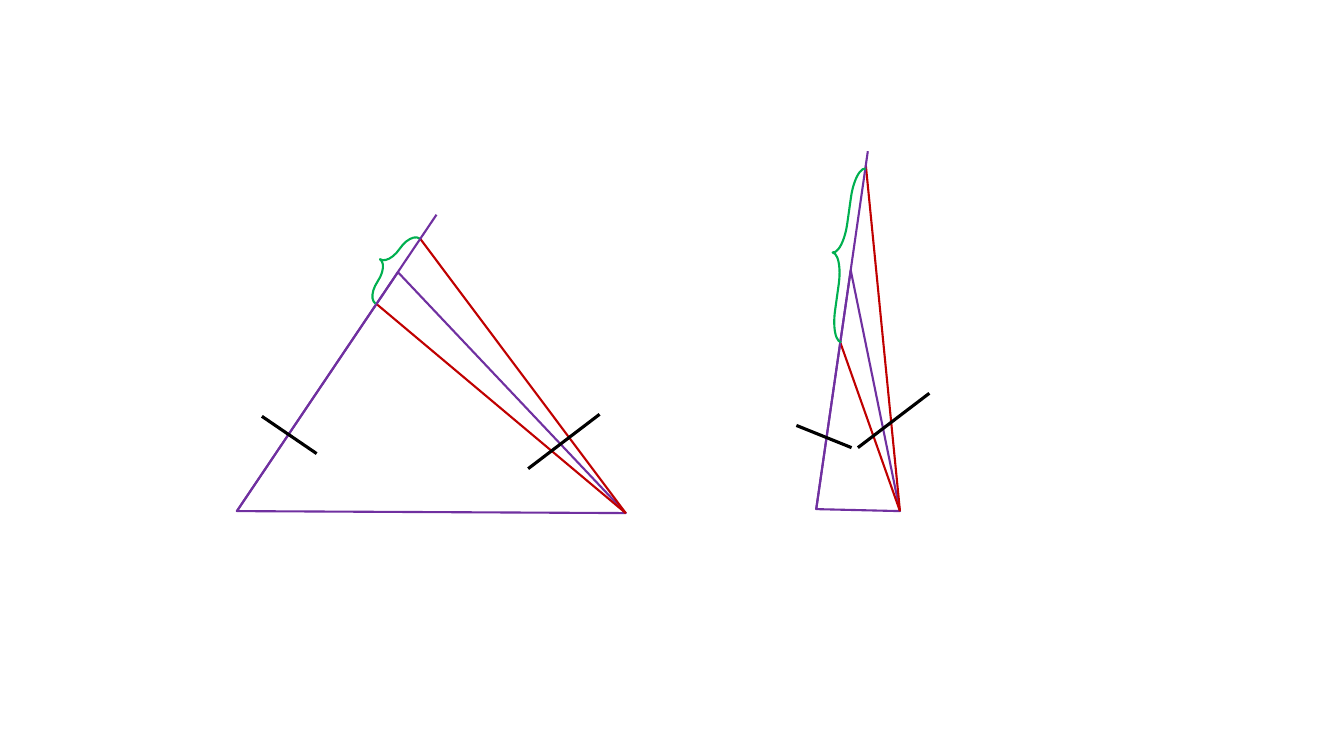
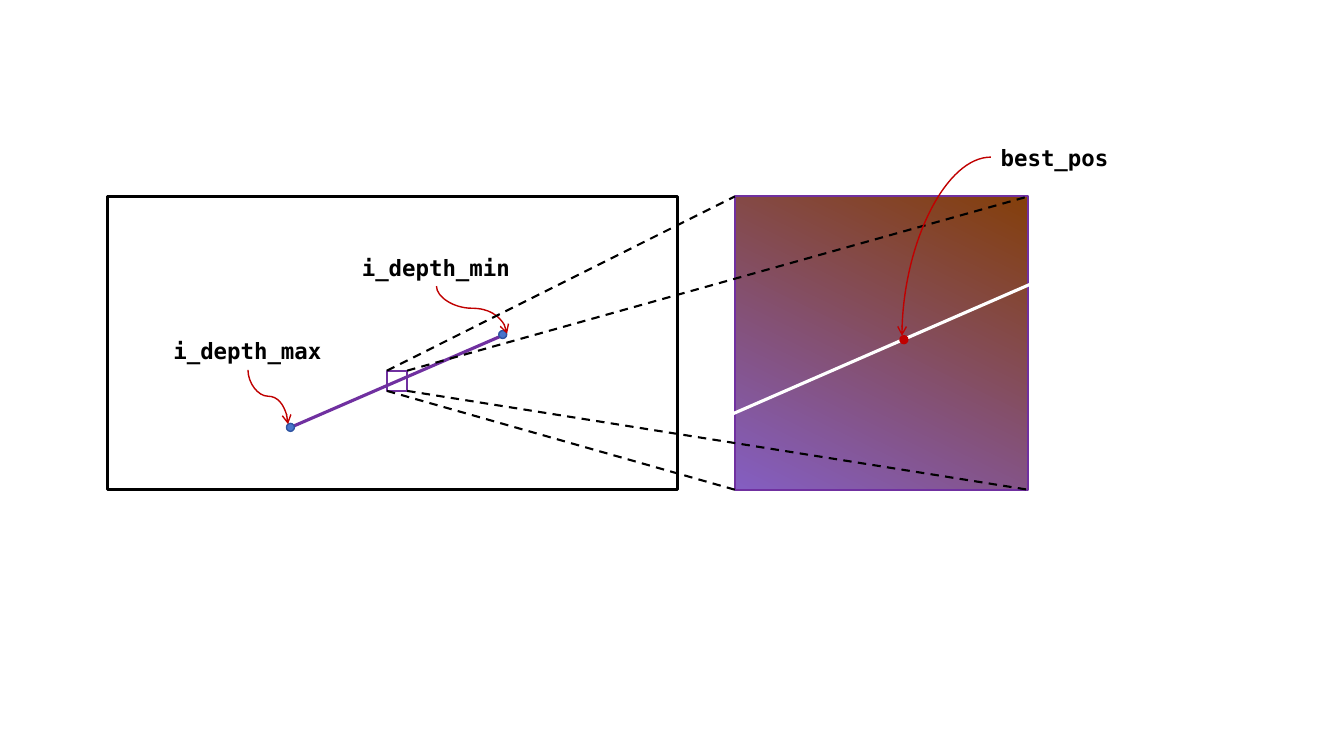
from lxml import etree
from pptx import Presentation
from pptx.dml.color import RGBColor
from pptx.enum.dml import MSO_LINE
from pptx.enum.shapes import MSO_CONNECTOR, MSO_SHAPE
from pptx.enum.text import MSO_AUTO_SIZE, PP_ALIGN
from pptx.oxml.ns import qn
from pptx.util import Cm, Pt

STRAIGHT, CURVE = MSO_CONNECTOR.STRAIGHT, MSO_CONNECTOR.CURVE
RECTANGLE, ELLIPSE, LEFT_BRACE = MSO_SHAPE.RECTANGLE, MSO_SHAPE.OVAL, MSO_SHAPE.LEFT_BRACE
DASH = MSO_LINE.DASH
LEFT, CENTER = PP_ALIGN.LEFT, PP_ALIGN.CENTER
FIT_SHAPE = MSO_AUTO_SIZE.SHAPE_TO_FIT_TEXT

BLACK = RGBColor(0x00, 0x00, 0x00)
WHITE = RGBColor(0xFF, 0xFF, 0xFF)
PURPLE = RGBColor(0x70, 0x30, 0xA0)
RED = RGBColor(0xC0, 0x00, 0x00)
GREEN = RGBColor(0x00, 0xB0, 0x50)
BLUE = RGBColor(0x48, 0x74, 0xCB)
DARK_BLUE = RGBColor(0x2E, 0x54, 0xA1)
BROWN = RGBColor(0x84, 0x3F, 0x0B)
VIOLET = RGBColor(0x84, 0x5E, 0xC2)

FONT = "DejaVu Sans Mono"
THIN, NORMAL, THICK = 1, 1.5, 2.25
DOT_SIZE = 0.2


class Diagram:
    """Holds the style, the current slide and the current group; lengths are in cm."""

    def __init__(self):
        self.presentation = Presentation()
        self.presentation.slide_width = Cm(33.87)
        self.presentation.slide_height = Cm(19.05)

    def new_slide(self):
        layout = self.presentation.slide_layouts[6]
        self.slide = self.presentation.slides.add_slide(layout)

    def new_group(self):
        self.shapes = self.slide.shapes.add_group_shape().shapes

    def outline(self, shape, color, width):
        shape.shadow.inherit = False
        shape.fill.background()
        shape.line.color.rgb = color
        shape.line.width = Pt(width)

    def shape(self, kind, left, top, width, height, color, weight=NORMAL):
        shape = self.shapes.add_shape(kind, Cm(left), Cm(top), Cm(width), Cm(height))
        self.outline(shape, color, weight)
        return shape

    def dot(self, x, y, fill, color):
        half = DOT_SIZE / 2
        dot = self.shape(ELLIPSE, x - half, y - half, DOT_SIZE, DOT_SIZE, color, THIN)
        dot.fill.solid()
        dot.fill.fore_color.rgb = fill

    def triangle(self, *corners):
        first, *others = [(Cm(x), Cm(y)) for x, y in corners]
        builder = self.shapes.build_freeform(*first, scale=1.0)
        builder.add_line_segments(others, close=True)
        self.outline(builder.convert_to_shape(), PURPLE, NORMAL)

    def brace(self, left, top, length, angle):
        brace = self.shape(LEFT_BRACE, left, top, 0.53, length, GREEN)
        brace.adjustments[0] = 1.466
        brace.rotation = angle

    def line(self, start, end, color, width=NORMAL, dash=None, kind=STRAIGHT):
        connector = self.shapes.add_connector(kind, *[Cm(value) for value in (*start, *end)])
        connector.line.color.rgb = color
        connector.line.width = Pt(width)
        if dash:
            connector.line.dash_style = dash
        etree.SubElement(connector.element.spPr, qn("a:effectLst"))
        return connector

    def curved_arrow(self, start, end, bend=None):
        """An S-curve leaving downwards, or without a bend a quarter arc to the lower left."""
        (x1, y1), (x2, y2) = start, end
        if bend:
            # The frame before its quarter turn: width and height change places
            middle_x, middle_y = (x1 + x2) / 2, (y1 + y2) / 2
            half_width, half_height = (y2 - y1) / 2, (x2 - x1) / 2
            start = (middle_x - half_width, middle_y + half_height)
            end = (middle_x + half_width, middle_y - half_height)
            preset, degrees = "curvedConnector3", 90
        else:
            start, end = (x2, y2), (x1, y1)
            preset, degrees = "curvedConnector2", 180
        connector = self.line(start, end, RED, THIN, kind=CURVE)
        properties = connector.element.spPr
        properties.find(qn("a:xfrm")).set("rot", str(degrees * 60000))
        geometry = properties.find(qn("a:prstGeom"))
        geometry.set("prst", preset)
        if bend:
            guide = etree.SubElement(geometry.find(qn("a:avLst")), qn("a:gd"))
            guide.set("name", "adj1")
            guide.set("fmla", f"val {round(bend * 100000)}")
        etree.SubElement(properties.find(qn("a:ln")), qn("a:tailEnd")).set("type", "arrow")

    def label(self, text, left, top, width, alignment=CENTER):
        box = self.shapes.add_textbox(Cm(left), Cm(top), Cm(width), Cm(0.94))
        frame = box.text_frame
        frame.word_wrap = True
        frame.auto_size = FIT_SHAPE
        paragraph = frame.paragraphs[0]
        paragraph.alignment = alignment
        run = paragraph.add_run()
        run.text = text
        run.font.name = FONT
        run.font.size = Pt(16)
        run.font.bold = True
        run.font.color.rgb = BLACK

    def depth_view(self, apex, left, right, near, far, ray_end, image_planes, brace):
        """Two cameras, their rays and the depth range between near and far."""
        self.new_group()
        self.triangle(apex, left, right)
        for limit in (near, far):
            self.line(right, limit, RED)
        self.line(ray_end, left, PURPLE)
        for start, end in image_planes:
            self.line(start, end, BLACK, THICK)
        self.brace(*brace)


def baseline_slide(diagram):
    diagram.new_slide()
    # Wide baseline
    diagram.depth_view(
        apex=(10.03, 6.86), left=(5.97, 12.88), right=(15.77, 12.93),
        near=(9.5, 7.67), far=(10.57, 5.99), ray_end=(11, 5.41),
        image_planes=[((6.6, 10.49), (7.98, 11.43)), ((13.31, 11.81), (15.11, 10.44))],
        brace=(9.53, 5.69, 1.98, 34))
    # Narrow baseline
    diagram.depth_view(
        apex=(21.44, 6.81), left=(20.57, 12.83), right=(22.68, 12.88),
        near=(21.18, 8.64), far=(21.82, 4.17), ray_end=(21.87, 3.81),
        image_planes=[((20.07, 10.72), (21.46, 11.28)), ((21.62, 11.28), (23.42, 9.91))],
        brace=(20.98, 4.19, 4.42, 8))


def search_slide(diagram):
    diagram.new_slide()
    diagram.new_group()
    top, side = 4.95, 7.39
    patch_left, patch_top, patch_side = 9.75, 9.34, 0.51
    zoom_left = 18.52

    # Image with the search line
    diagram.shape(RECTANGLE, 2.72, top, 14.35, side, BLACK, THICK)
    diagram.line((7.39, 10.74), (12.6, 8.48), PURPLE, THICK)
    for x, y in ((12.67, 8.43), (7.32, 10.77)):
        diagram.dot(x, y, BLUE, DARK_BLUE)
    diagram.curved_arrow((11, 7.21), (12.78, 8.41), 0.465)
    diagram.curved_arrow((6.25, 9.32), (7.26, 10.69), 0.486)
    diagram.label("i_depth_max", 3.86, 8.38, 4.75)
    diagram.label("i_depth_min", 8.61, 6.27, 4.75)

    # Patch and its enlargement, joined corner to corner
    diagram.shape(RECTANGLE, patch_left, patch_top, patch_side, patch_side, PURPLE)
    zoom = diagram.shape(RECTANGLE, zoom_left, top, side, side, PURPLE)
    zoom.fill.gradient()
    zoom.fill.gradient_angle = 360 - 116
    for stop, color in zip(zoom.fill.gradient_stops, (BROWN, VIOLET)):
        stop.color.rgb = color
    for column in (0, 1):
        for row in (0, 1):
            diagram.line((patch_left + column * patch_side, patch_top + row * patch_side),
                         (zoom_left + column * side, top + row * side), BLACK, dash=DASH)

    # Best position on the enlarged search line
    diagram.line((17.68, 10.77), (27.53, 6.48), WHITE, THICK)
    diagram.dot(22.78, 8.56, RED, RED)
    diagram.curved_arrow((24.97, 3.96), (22.73, 8.46))
    diagram.label("best_pos", 24.97, 3.51, 3.35, LEFT)


def main():
    diagram = Diagram()
    baseline_slide(diagram)
    search_slide(diagram)
    diagram.presentation.save("out.pptx")


if __name__ == "__main__":
    main()
